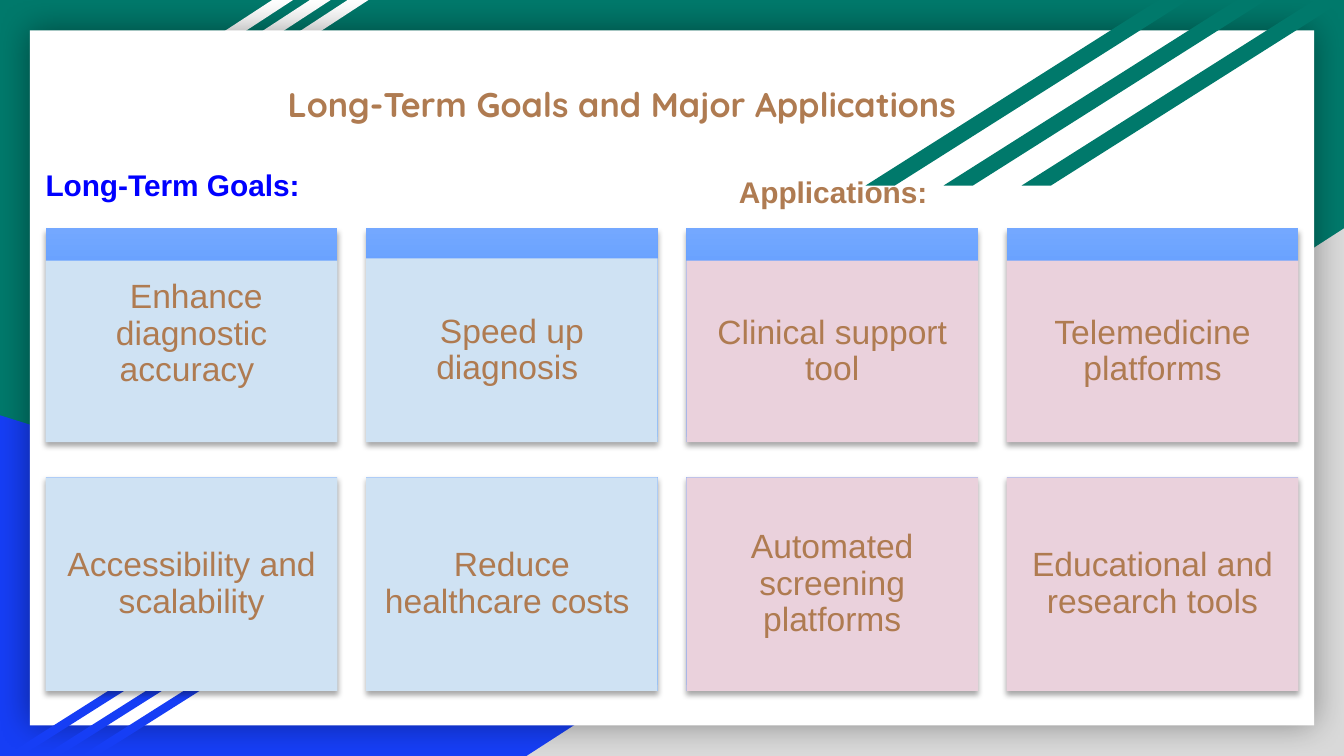
"""Build the slide of long-term goals and major applications."""
from dataclasses import dataclass

from lxml import etree
from pptx import Presentation
from pptx.dml.color import RGBColor
from pptx.enum import shapes, text
from pptx.oxml import ns
from pptx.util import Pt

COLORS = {
    "green": "00796B", "blue": "163EF5", "gray": "D9D9D9", "white": "FFFFFF",
    "brown": "AF7B51", "label_blue": "0000FF", "goal": "CFE2F3",
    "application": "EAD1DC", "band_dark": "267EFF", "band_light": "74A8FF",
    "black": "000000",
}
CARD_LEFT, CARD_TOP = 24.5, 122.4
CARD_WIDTH, CARD_HEIGHT = 156.3, 114.5
COLUMN_STEP, ROW_STEP = 171.6, 133.3


@dataclass
class Stripes:
    left: float
    top: float
    width: float
    height: float
    step: float
    slant: float
    color: str


@dataclass
class Card:
    wording: str
    column: int
    row: int
    color: str
    band: float = 0
    lift: float = 0


CARDS = [
    Card(" Enhance diagnostic accuracy ", 0, 0, "goal", 17.3, 18.5),
    Card("Speed up diagnosis ", 1, 0, "goal", 16),
    Card("Clinical support tool", 2, 0, "application", 17.3),
    Card("Telemedicine platforms", 3, 0, "application", 17.3),
    Card("Accessibility and scalability", 0, 1, "goal"),
    Card("Reduce healthcare costs ", 1, 1, "goal"),
    Card("Automated screening platforms", 2, 1, "application"),
    Card("Educational and research tools", 3, 1, "application"),
]
TOP_STRIPES = Stripes(20.2, 0, 136.8, 82, 20.2, 1.532, "white")
BOTTOM_STRIPES = Stripes(2.9, 356.6, 85, 48.4, 20.2, 1.58, "blue")
RIGHT_STRIPES = Stripes(463.7, 0, 172.8, 99.4, 41.8, 1.58, "green")


def rgb(name: str) -> RGBColor:
    """Return a named colour."""
    return RGBColor.from_string(COLORS[name])


def add_block(slide, left: float, top: float, width: float, height: float,
              color=None, kind=shapes.MSO_SHAPE.RECTANGLE):
    """Add a preset shape without outline or inherited shadow."""
    block = slide.shapes.add_shape(kind, Pt(left), Pt(top), Pt(width), Pt(height))
    block.shadow.inherit = False
    block.line.fill.background()
    if color:
        block.fill.solid()
        block.fill.fore_color.rgb = rgb(color)
    else:
        block.fill.background()
    return block


def cast_shadow(block, alpha: int, blur: float, distance: float, angle: int) -> None:
    """Give a shape a soft black outer shadow."""
    effects = block._element.spPr.find(ns.qn("a:effectLst"))
    outer = etree.SubElement(
        effects, ns.qn("a:outerShdw"), blurRad=str(Pt(blur)), dist=str(Pt(distance)),
        dir=str(angle * 60000), algn="ctr", rotWithShape="0")
    tint = etree.SubElement(outer, ns.qn("a:srgbClr"), val=COLORS["black"])
    etree.SubElement(tint, ns.qn("a:alpha"), val=str(alpha * 1000))


def write(block, wording: str, *, size: float, color: str = "brown",
          font: str = "Arial", bold: bool = False, inset: float = 7.2,
          lift: float = 0, align=text.PP_ALIGN.LEFT,
          anchor=text.MSO_ANCHOR.TOP) -> None:
    """Set the text of a shape and its format."""
    frame = block.text_frame
    frame.word_wrap = True
    frame.vertical_anchor = anchor
    frame.margin_left = frame.margin_right = frame.margin_top = Pt(inset)
    frame.margin_bottom = Pt(inset + lift)
    paragraph = frame.paragraphs[0]
    paragraph.alignment = align
    paragraph.line_spacing = 0.9
    run = paragraph.add_run()
    run.text = wording
    run.font.size = Pt(size)
    run.font.name = font
    run.font.bold = bold
    run.font.color.rgb = rgb(color)


def add_stripes(slide, stripes: Stripes) -> None:
    """Draw three parallel slanted stripes."""
    for index in range(3):
        stripe = add_block(
            slide, stripes.left + index * stripes.step, stripes.top,
            stripes.width, stripes.height, stripes.color,
            shapes.MSO_SHAPE.PARALLELOGRAM)
        stripe.adjustments[0] = stripes.slant


def add_card(slide, card: Card) -> None:
    """Draw a shaded base and the text face over it."""
    left = CARD_LEFT + card.column * COLUMN_STEP
    top = CARD_TOP + card.row * ROW_STEP
    base = add_block(slide, left, top, CARD_WIDTH, CARD_HEIGHT)
    base.fill.gradient()
    base.fill.gradient_angle = 90
    for stop, name in zip(base.fill.gradient_stops, ("band_dark", "band_light")):
        stop.color.rgb = rgb(name)
    cast_shadow(base, 35, 3.1, 1.8, 90)
    face = add_block(slide, left, top + card.band, CARD_WIDTH,
                     CARD_HEIGHT - card.band, card.color)
    write(face, card.wording, size=18, inset=5, lift=card.lift,
          align=text.PP_ALIGN.CENTER, anchor=text.MSO_ANCHOR.MIDDLE)


def add_backdrop(slide) -> None:
    """Draw the corners, the white panel and the stripes."""
    slide.background.fill.solid()
    slide.background.fill.fore_color.rgb = rgb("green")
    triangle = shapes.MSO_SHAPE.RIGHT_TRIANGLE
    add_block(slide, 0, 222.5, 580.3, 182.5, "blue", triangle)
    corner = add_block(slide, 282.2, 122.4, 437.8, 282.6, "gray", triangle)
    corner._element.spPr.xfrm.set("flipH", "1")
    add_stripes(slide, TOP_STRIPES)
    panel = add_block(slide, 16, 16.2, 688, 372.4, "white")
    cast_shadow(panel, 40, 18, 0, 0)
    add_stripes(slide, BOTTOM_STRIPES)
    add_stripes(slide, RIGHT_STRIPES)


def main() -> None:
    """Build and save the presentation."""
    deck = Presentation()
    deck.slide_width, deck.slide_height = Pt(720), Pt(405)
    slide = deck.slides.add_slide(deck.slide_layouts[6])
    add_backdrop(slide)
    title = slide.shapes.add_textbox(Pt(147), Pt(34.3), Pt(548), Pt(45.4))
    write(title, "Long-Term Goals and Major Applications", size=18.3,
          font="Quicksand", bold=True, anchor=text.MSO_ANCHOR.MIDDLE)
    for card in CARDS:
        add_card(slide, card)
    goals = add_block(slide, 17.3, 84.2, 172.1, 31.7)
    goals.line.color.rgb = rgb("white")
    goals.line.width = Pt(0.75)
    write(goals, "Long-Term Goals:", size=16, color="label_blue", bold=True)
    applications = slide.shapes.add_textbox(Pt(330.5), Pt(87.8), Pt(236.2), Pt(31.7))
    write(applications, "Applications: ", size=16, bold=True,
          align=text.PP_ALIGN.CENTER)
    deck.save("out.pptx")


if __name__ == "__main__":
    main()
